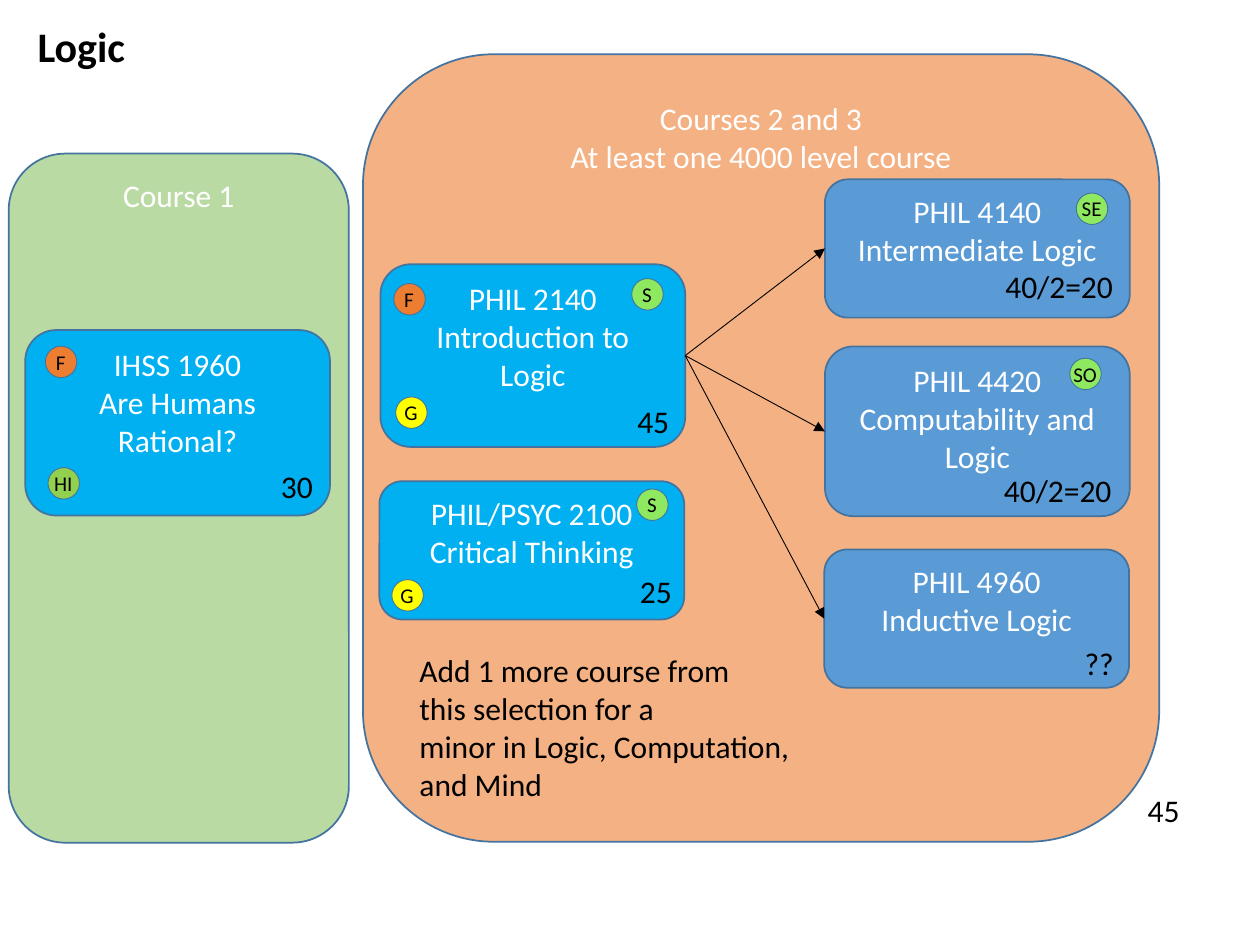
from lxml import etree
from pptx import Presentation
from pptx.dml.color import RGBColor
from pptx.enum import shapes, text
from pptx.oxml import ns
from pptx.util import Pt

FONT = "Calibri"
BLACK, WHITE, OUTLINE = "000000", "FFFFFF", "43739E"
CYAN, BLUE, GREEN, ORANGE, YELLOW = "00B0F0", "5B9BD5", "8EE961", "ED7D31", "FFFF00"
COURSE_W = 174.2
BADGE_SIZE = 18
BADGE_TEXT_H = 21.8
RIGHT, LEFT = 3, 1  # connection sites

# code, name, left, top, height, fill
COURSES = [
    ("IHSS 1960", "Are Humans Rational?", 14.4, 188.6, 106, CYAN),
    ("PHIL 2140", "Introduction to Logic", 217.4, 151, 104.4, CYAN),
    ("PHIL/PSYC 2100", "Critical Thinking", 216.8, 275, 79, CYAN),
    ("PHIL 4140", "Intermediate Logic", 471.4, 102.5, 79, BLUE),
    ("PHIL 4420", "Computability and Logic", 471.4, 198, 97, BLUE),
    ("PHIL 4960", "Inductive Logic", 471, 314, 79, BLUE),
]
# label, circle left, circle top, label width, fill
BADGES = [
    ("HI", 27.4, 267.2, 25.2, "92D050"),
    ("G", 226.1, 226.8, 22.3, YELLOW),
    ("G", 223.9, 331.2, 22.3, YELLOW),
    ("S", 361, 159.2, 20.2, GREEN),
    ("F", 225, 162, 20.2, ORANGE),
    ("S", 363.8, 279.4, 20.2, GREEN),
    ("F", 25.9, 197.8, 20.2, ORANGE),
    ("SE", 615, 110.3, 26, GREEN),
    ("SO", 611.3, 204.7, 28, GREEN),
]
# enrolment, left, top, width
ENROLMENTS = [
    ("30", 153.4, 263.5, 33),
    ("40/2=20", 567.4, 149, 77),
    ("40/2=20", 566.6, 265.7, 77),
    ("??", 612.7, 364.3, 31.7),
    ("25", 358.6, 323.3, 33),
    ("45", 357.1, 226.1, 33),
    ("45", 648.7, 448.6, 33),
]


def rgb(hex_color):
    return RGBColor.from_string(hex_color)


def write(frame, lines, size=18, color=BLACK, bold=False, align=text.PP_ALIGN.LEFT):
    for number, line in enumerate(lines):
        paragraph = frame.paragraphs[0] if number == 0 else frame.add_paragraph()
        paragraph.alignment = align
        run = paragraph.add_run()
        run.text = line
        run.font.name = FONT
        run.font.size = Pt(size)
        run.font.bold = bold
        run.font.color.rgb = rgb(color)


def add_label(parent, lines, left, top, width, height, **style):
    label = parent.add_textbox(Pt(left), Pt(top), Pt(width), Pt(height))
    label.text_frame.word_wrap = False
    label.text_frame.auto_size = text.MSO_AUTO_SIZE.SHAPE_TO_FIT_TEXT
    write(label.text_frame, lines, **style)


def add_outlined(parent, kind, left, top, width, height, fill, line_width):
    shape = parent.add_shape(kind, Pt(left), Pt(top), Pt(width), Pt(height))
    shape.shadow.inherit = False
    shape.fill.solid()
    shape.fill.fore_color.rgb = rgb(fill)
    shape.line.color.rgb = rgb(OUTLINE)
    shape.line.width = Pt(line_width)
    return shape


def add_panel(parent, lines, left, top, width, height, fill, opacity=100):
    panel = add_outlined(parent, shapes.MSO_SHAPE.ROUNDED_RECTANGLE,
                         left, top, width, height, fill, 1)
    panel.text_frame.word_wrap = True
    panel.text_frame.vertical_anchor = text.MSO_ANCHOR.TOP
    write(panel.text_frame, lines, color=WHITE, align=text.PP_ALIGN.CENTER)
    if opacity < 100:
        fill_color = panel._element.spPr.find(ns.qn("a:solidFill"))[0]
        etree.SubElement(fill_color, ns.qn("a:alpha"), val=str(opacity * 1000))
    return panel


def add_badge(parent, label, left, top, label_width, fill):
    badge = parent.add_group_shape().shapes
    add_outlined(badge, shapes.MSO_SHAPE.OVAL, left, top,
                 BADGE_SIZE, BADGE_SIZE, fill, 0.5)
    # The label shares the centre of its circle
    add_label(badge, [label], left + (BADGE_SIZE - label_width) / 2,
              top + (BADGE_SIZE - BADGE_TEXT_H) / 2, label_width, BADGE_TEXT_H, size=12)


def add_arrow(parent, source, target):
    arrow = parent.add_connector(shapes.MSO_CONNECTOR.STRAIGHT, 0, 0, 0, 0)
    arrow.begin_connect(source, RIGHT)
    arrow.end_connect(target, LEFT)
    arrow.line.color.rgb = rgb(BLACK)
    arrow.line.width = Pt(0.5)
    etree.SubElement(arrow.line._get_or_add_ln(), ns.qn("a:tailEnd"), type="triangle")
    etree.SubElement(arrow._element.spPr, ns.qn("a:effectLst"))


def main():
    deck = Presentation()
    deck.slide_width, deck.slide_height = Pt(720), Pt(540)
    canvas = deck.slides.add_slide(deck.slide_layouts[6]).shapes

    # Course groups and title
    add_panel(canvas, ["Courses 2 and 3", "At least one 4000 level course"],
              207.4, 31, 455, 450, "F4B183")
    add_panel(canvas, ["Course 1"], 5, 87.8, 194.4, 393.8, "A9D18E", opacity=80)
    add_label(canvas, ["Logic"], 14.4, 8, 64.8, 36, size=24, bold=True)

    # Courses, and the arrows from the introduction to the 4000 level
    courses = {}
    for code, name, left, top, height, fill in COURSES:
        courses[code] = add_panel(canvas, [code, name], left, top, COURSE_W, height, fill)
    for advanced in ("PHIL 4140", "PHIL 4420", "PHIL 4960"):
        add_arrow(canvas, courses["PHIL 2140"], courses[advanced])

    # Note on the minor
    add_label(canvas, ["Add 1 more course from", "this selection for a",
                       "minor in Logic, Computation,", "and Mind"],
              232.6, 368.6, 232.6, 94.3)

    # Badges and enrolments
    for badge in BADGES:
        add_badge(canvas, *badge)
    for count, left, top, width in ENROLMENTS:
        add_label(canvas, [count], left, top, width, 29)

    deck.save("out.pptx")


if __name__ == "__main__":
    main()
